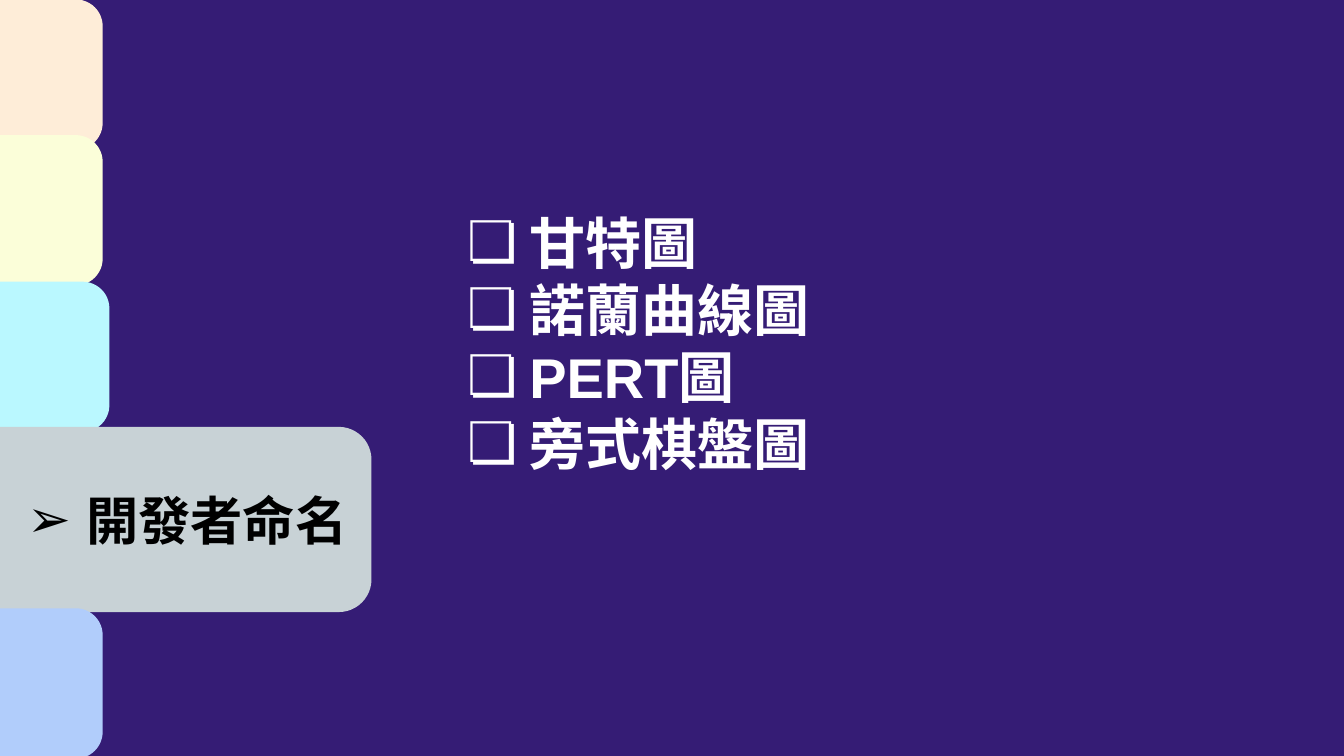
from lxml.etree import SubElement
from pptx import Presentation
from pptx.dml.color import RGBColor
from pptx.enum.shapes import MSO_SHAPE as Shape
from pptx.enum.text import MSO_ANCHOR as Anchor, MSO_AUTO_SIZE as AutoSize, PP_ALIGN as Align
from pptx.oxml.ns import qn
from pptx.util import Pt

COLORS = {
    "background": "351C75",
    "peach": "FEEDD8",
    "cream": "FBFED9",
    "aqua": "BAF8FF",
    "gray": "C8D2D6",
    "blue": "B1CDFB",
    "black": "000000",
    "white": "FFFFFF",
}
SMALL, MEDIUM, LARGE = (262, 78.5), (268.5, 78.5), (346.3, 97.2)
TABS = [
    ("peach", 54, 0.7, SMALL, ""),
    ("cream", 54, 73.4, SMALL, ""),
    ("aqua", 57.6, 151.9, MEDIUM, ""),
    ("gray", 198, 229.7, LARGE, "開發者命名"),
    ("blue", 54, 326.9, SMALL, ""),
]
CHARTS = ["甘特圖", "諾蘭曲線圖", "PERT圖", "旁式棋盤圖"]
TAB_STYLE = {"bullet": "➢", "hang": 31.7, "size": 28, "color": "black", "align": Align.RIGHT}
LIST_STYLE = {"bullet": "❏", "hang": 33.1, "size": 30, "color": "white", "align": Align.LEFT}


def color(name):
    return RGBColor.from_string(COLORS[name])


def set_all(target, values):
    for name, value in values.items():
        setattr(target, name, value)


def set_margins(frame, side, end):
    set_all(frame, {
        "margin_left": Pt(side), "margin_right": Pt(side),
        "margin_top": Pt(end), "margin_bottom": Pt(end), "word_wrap": True,
    })


def write_bullets(frame, lines, style):
    for index, line in enumerate(lines):
        para = frame.add_paragraph() if index else frame.paragraphs[0]
        para.alignment = style["align"]
        props = para._p.get_or_add_pPr()
        props.set("marL", str(Pt(36)))
        props.set("indent", str(-Pt(style["hang"])))
        tint = SubElement(props, qn("a:buClr"))
        SubElement(tint, qn("a:srgbClr"), val=COLORS[style["color"]])
        SubElement(props, qn("a:buFont"), typeface="Arial")
        SubElement(props, qn("a:buChar"), char=style["bullet"])
        span = para.add_run()
        span.text = line
        set_all(span.font, {"name": "Arial", "size": Pt(style["size"]), "bold": True})
        span.font.color.rgb = color(style["color"])


deck = Presentation()
set_all(deck, {"slide_width": Pt(720), "slide_height": Pt(405)})
page = deck.slides.add_slide(deck.slide_layouts[6])
page.background.fill.solid()
page.background.fill.fore_color.rgb = color("background")

for shade, right, top, (width, height), label in TABS:
    tab = page.shapes.add_shape(
        Shape.ROUNDED_RECTANGLE, Pt(right - width), Pt(top), Pt(width), Pt(height))
    tab.shadow.inherit = False
    tab.adjustments[0] = 0.17
    tab.fill.solid()
    tab.fill.fore_color.rgb = color(shade)
    tab.line.color.rgb = color(shade)
    tab.line.width = Pt(2)
    if label:
        set_margins(tab.text_frame, 7.2, 3.6)
        tab.text_frame.vertical_anchor = Anchor.MIDDLE
        write_bullets(tab.text_frame, [label], TAB_STYLE)

box = page.shapes.add_textbox(Pt(240.5), Pt(104.4), Pt(449.3), Pt(159.8))
set_margins(box.text_frame, 7.2, 7.2)
box.text_frame.auto_size = AutoSize.SHAPE_TO_FIT_TEXT
write_bullets(box.text_frame, CHARTS, LIST_STYLE)

deck.save("out.pptx")
